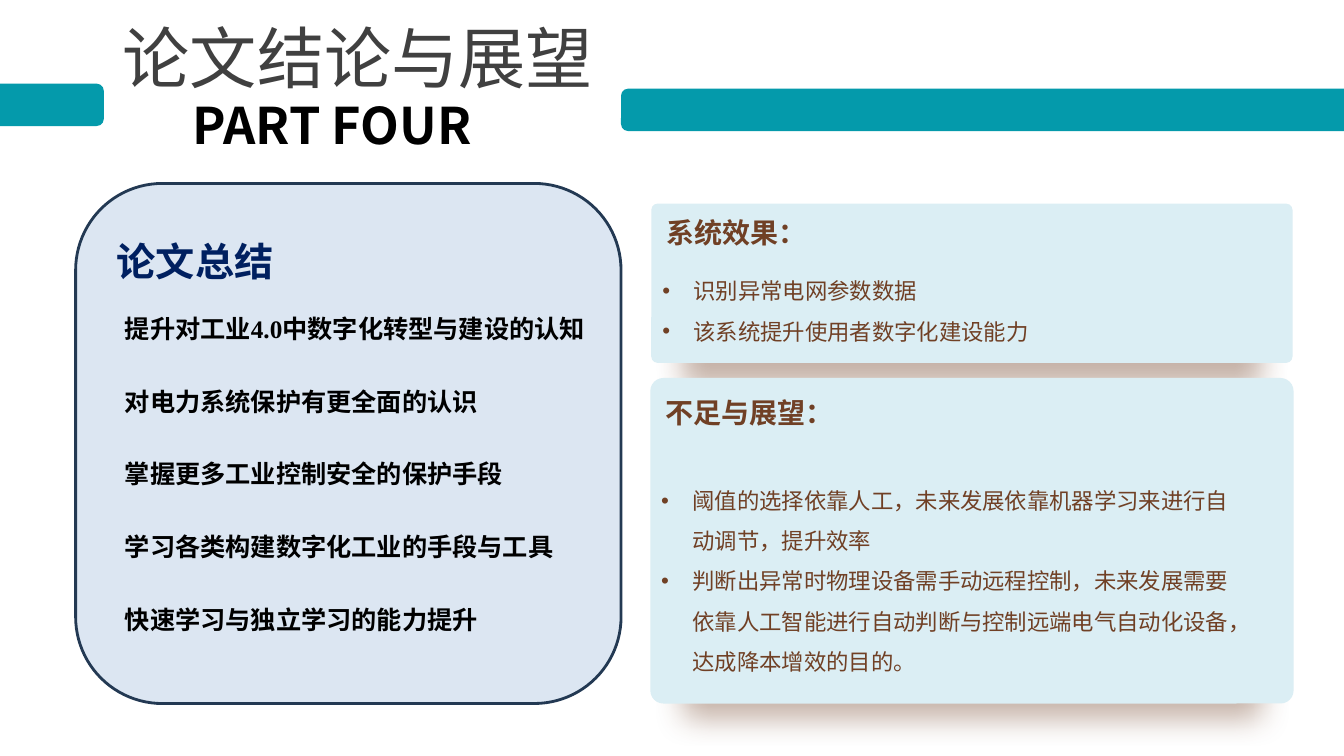
from lxml.etree import SubElement
from pptx import Presentation
from pptx.dml.color import RGBColor
from pptx.enum.shapes import MSO_SHAPE
from pptx.enum.text import PP_ALIGN
from pptx.oxml import parse_xml
from pptx.oxml.ns import nsdecls, qn
from pptx.util import Emu, Pt

PX = 9144
SANS = "Noto Sans CJK SC"
SERIF = "Times New Roman"
WHITE = RGBColor(0xFF, 0xFF, 0xFF)
BLACK = RGBColor(0, 0, 0)
GRAY = RGBColor(0x40, 0x40, 0x40)
TEAL = RGBColor(0x04, 0x9A, 0xAB)
PALE = RGBColor(0xDC, 0xE6, 0xF2)
EDGE = RGBColor(0x23, 0x39, 0x53)
NAVY = RGBColor(0x00, 0x20, 0x60)
ICE = RGBColor(0xDB, 0xEE, 0xF4)
BROWN = RGBColor(0x70, 0x40, 0x25)

SUMMARY = [
    "提升对工业4.0中数字化转型与建设的认知",
    "对电力系统保护有更全面的认识",
    "掌握更多工业控制安全的保护手段",
    "学习各类构建数字化工业的手段与工具",
    "快速学习与独立学习的能力提升",
]
EFFECTS = ["识别异常电网参数数据", "该系统提升使用者数字化建设能力"]
OUTLOOK = [
    "阈值的选择依靠人工，未来发展依靠机器学习来进行自动调节，提升效率",
    "判断出异常时物理设备需手动远程控制，未来发展需要依靠人工智能进行自动判断"
    "与控制远端电气自动化设备，达成降本增效的目的。",
]


def scale(*box):
    """Turn px lengths into EMU."""
    return [Emu(n * PX) for n in box]


def add_panel(slide, box, fill, line=None, round_by=None):
    """Add a rounded rectangle."""
    panel = slide.shapes.add_shape(MSO_SHAPE.ROUNDED_RECTANGLE, *scale(*box))
    panel.shadow.inherit = False
    panel.fill.solid()
    panel.fill.fore_color.rgb = fill
    if line is None:
        panel.line.fill.background()
    else:
        panel.line.color.rgb = line
        panel.line.width = Pt(2)
    if round_by is not None:
        panel.adjustments[0] = round_by
    return panel


def add_text(slide, box, lines, size, color, bold=False, font=SANS,
             align=PP_ALIGN.LEFT, space=1.0, after=0, left=0, first=0, bullet=False):
    """Add a text box with one paragraph per line."""
    frame = slide.shapes.add_textbox(*scale(*box)).text_frame
    frame.word_wrap = True
    for i, line in enumerate(lines):
        para = frame.paragraphs[0] if i == 0 else frame.add_paragraph()
        para.text = line
        para.alignment = align
        para.line_spacing = space
        para.space_after = Pt(after)
        para.font.size = Pt(size)
        para.font.bold = bold
        para.font.color.rgb = color
        para.font.name = font
        props = para._p.get_or_add_pPr()
        props.set("marL", str(left * PX))
        props.set("indent", str(first * PX))
        base = props.find(qn("a:defRPr"))
        SubElement(base, qn("a:ea")).set("typeface", SANS)
        if bullet:
            base.addprevious(parse_xml(f'<a:buFont {nsdecls("a")} typeface="Arial"/>'))
            base.addprevious(parse_xml(f'<a:buChar {nsdecls("a")} char="•"/>'))


def add_glow(panel):
    """Cast a soft brown shadow below a panel."""
    old = panel._element.spPr.find(qn("a:effectLst"))
    old.append(parse_xml(
        f'<a:outerShdw {nsdecls("a")} blurRad="{Pt(21)}" dist="{Pt(22)}" dir="5400000" '
        f'sx="90000" sy="90000" algn="ctr" rotWithShape="0">'
        f'<a:srgbClr val="{BROWN}"><a:alpha val="40000"/></a:srgbClr></a:outerShdw>'))


def add_header(slide, x, y):
    """Add the two titles between the teal bars."""
    add_text(slide, (x + 1, y + 77, 507, 71), ["PART FOUR"], 36, BLACK, True,
             align=PP_ALIGN.CENTER)
    add_text(slide, (x, y, 560, 91), ["论文结论与展望"], 48, GRAY, align=PP_ALIGN.CENTER)
    add_panel(slide, (x - 119, y + 72, 147, 42), TEAL)
    add_panel(slide, (x + 541, y + 77, 904, 42), TEAL)


def add_summary(slide, x, y, w, h):
    """Add the summary panel with its heading and list."""
    add_panel(slide, (x, y, w, h), PALE, EDGE)
    add_text(slide, (x + 10, y + 118, w - 10, 370), SUMMARY, 18, BLACK, True, SERIF,
             PP_ALIGN.JUSTIFY, 1.2, after=26, first=29)
    add_text(slide, (x + 31, y + 48, 458, 61), ["论文总结"], 28, NAVY, True)


def add_card(slide, x, y, w, h, title, items, head, body):
    """Add a card with heading and bullets at the given drops."""
    add_glow(add_panel(slide, (x, y, w, h), ICE, round_by=0.04))
    add_text(slide, (x + 5, y + head, 228, 45), [title], 20, BROWN, True)
    add_text(slide, (x + 1, y + body, 601, h - body), items, 16, BROWN,
             space=1.5, left=31, first=-31, bullet=True)


def main():
    """Build and save the slide."""
    deck = Presentation()
    deck.slide_width, deck.slide_height = scale(1333, 750)
    slide = deck.slides.add_slide(deck.slide_layouts[6])
    slide.background.fill.solid()
    slide.background.fill.fore_color.rgb = WHITE
    add_header(slide, 75, 11)
    add_summary(slide, 75, 182, 541, 516)
    add_card(slide, 646, 202, 636, 158, "系统效果：", EFFECTS, 7, 55)
    add_card(slide, 645, 375, 638, 323, "不足与展望：", OUTLOOK, 12, 90)
    deck.save("out.pptx")


if __name__ == "__main__":
    main()
